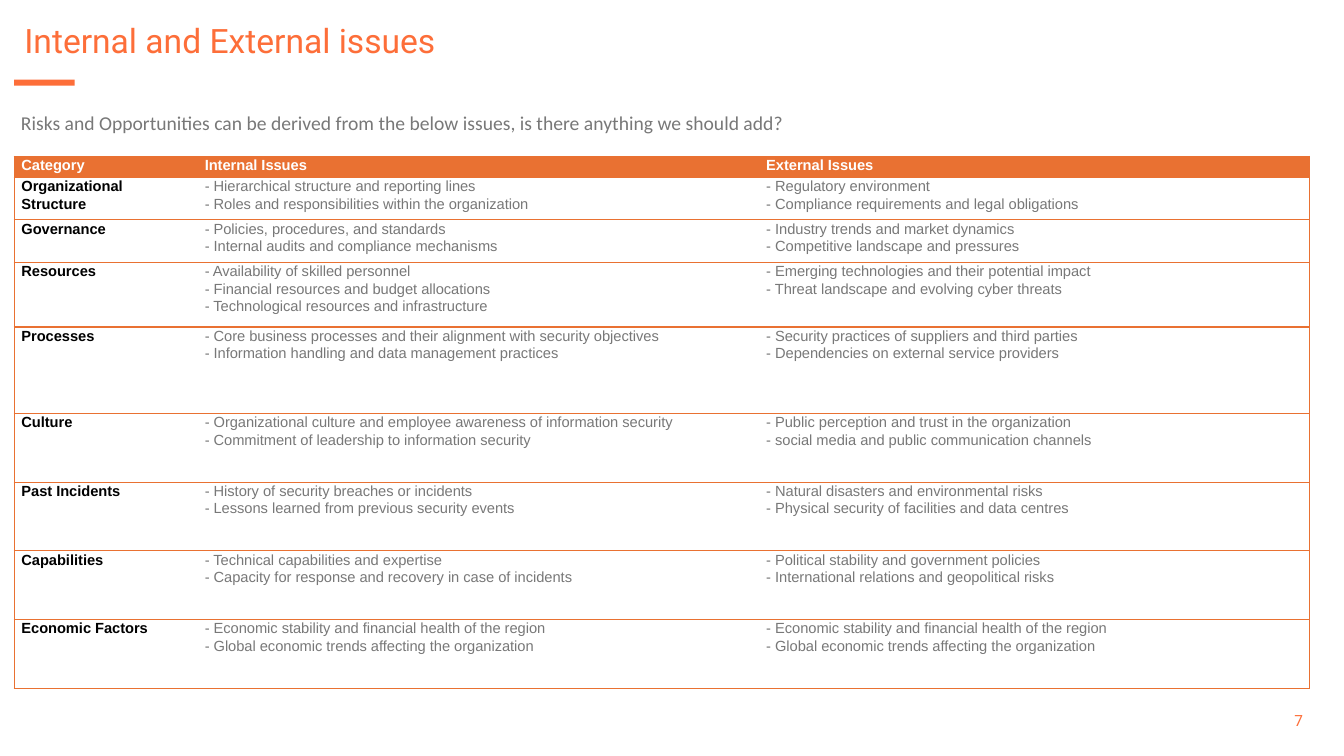
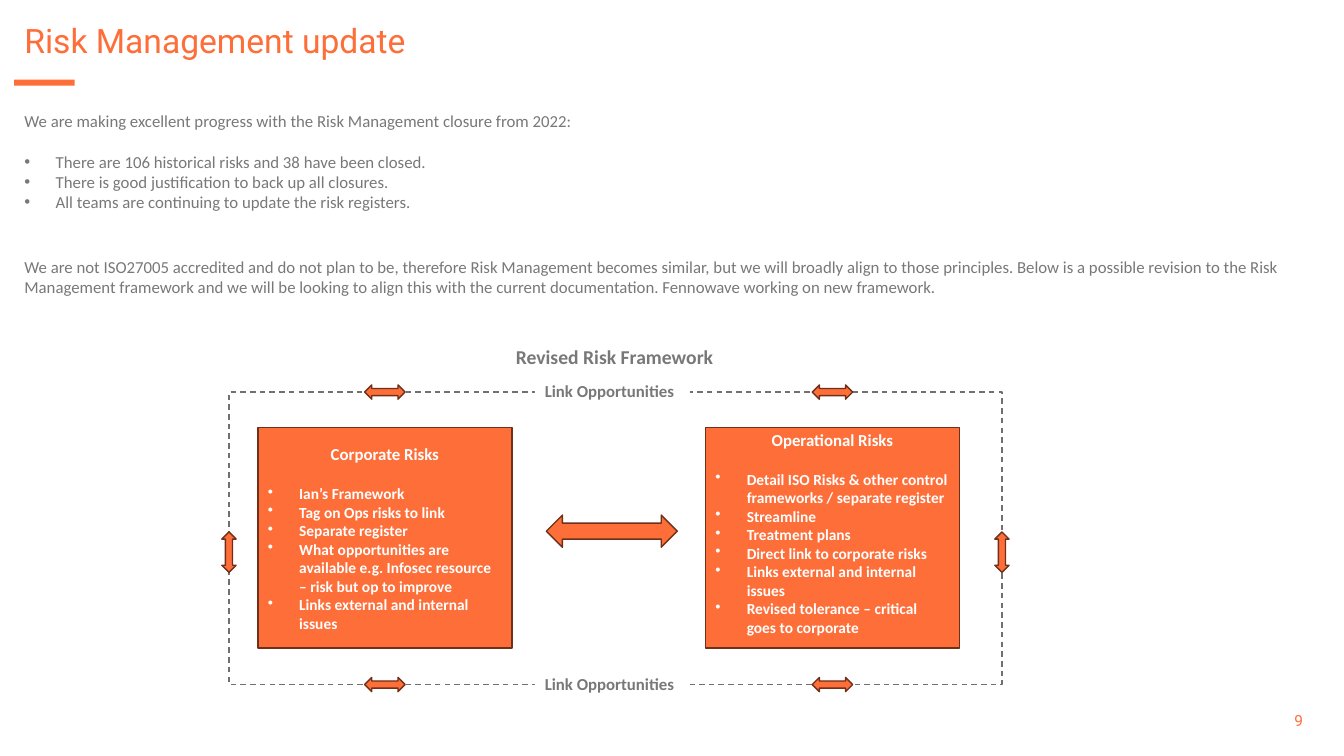
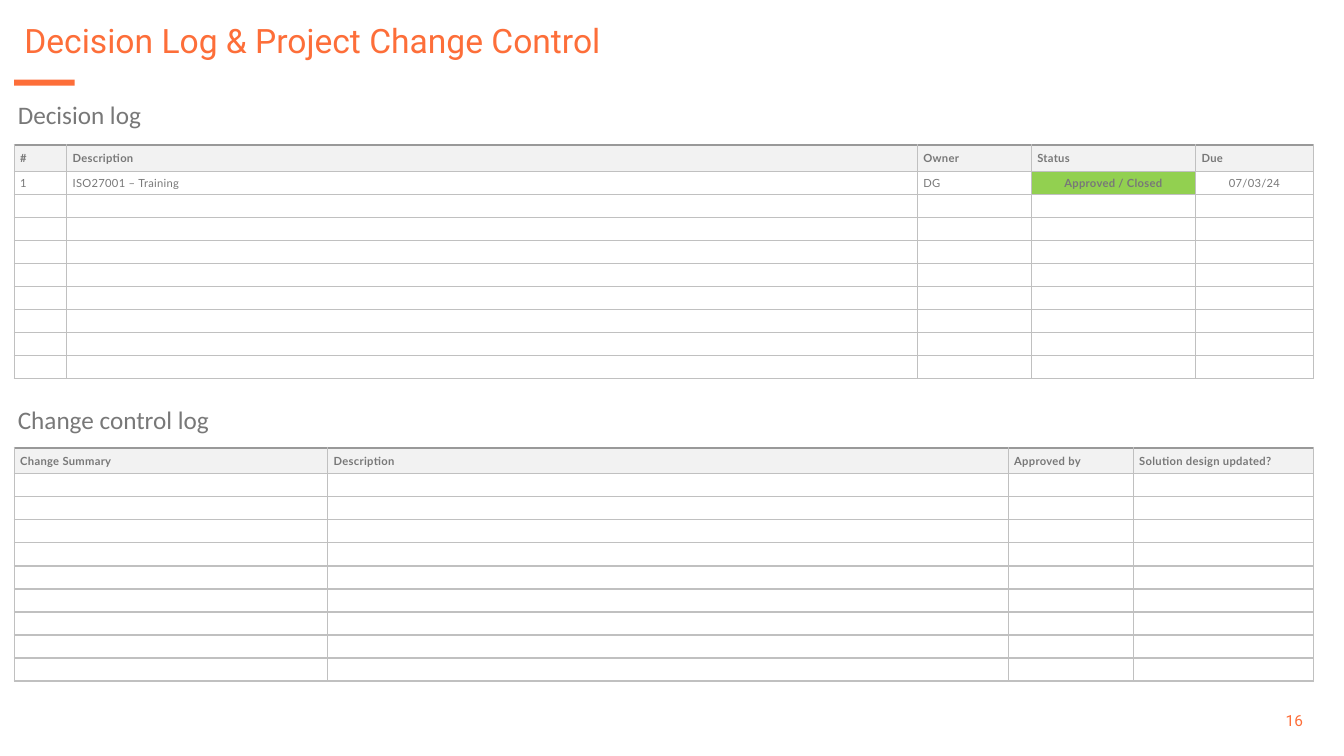
from lxml import etree
from pptx import Presentation
from pptx import util as u
from pptx.dml.color import RGBColor
from pptx.enum import dml, shapes, text
from pptx.oxml.ns import qn

# ---- Content ----
ISSUES = [
    ("Category", "Internal Issues", "External Issues"),
    ("Organizational Structure",
     "- Hierarchical structure and reporting lines\n- Roles and responsibilities within the organization",
     "- Regulatory environment\n- Compliance requirements and legal obligations"),
    ("Governance",
     "- Policies, procedures, and standards\n- Internal audits and compliance mechanisms",
     "- Industry trends and market dynamics\n- Competitive landscape and pressures"),
    ("Resources",
     "- Availability of skilled personnel\n- Financial resources and budget allocations\n"
     "- Technological resources and infrastructure",
     "- Emerging technologies and their potential impact\n- Threat landscape and evolving cyber threats"),
    ("Processes",
     "- Core business processes and their alignment with security objectives\n"
     "- Information handling and data management practices",
     "- Security practices of suppliers and third parties\n- Dependencies on external service providers"),
    ("Culture",
     "- Organizational culture and employee awareness of information security\n"
     "- Commitment of leadership to information security",
     "- Public perception and trust in the organization\n- social media and public communication channels"),
    ("Past Incidents",
     "- History of security breaches or incidents\n- Lessons learned from previous security events",
     "- Natural disasters and environmental risks\n- Physical security of facilities and data centres"),
    ("Capabilities",
     "- Technical capabilities and expertise\n- Capacity for response and recovery in case of incidents",
     "- Political stability and government policies\n- International relations and geopolitical risks"),
    ("Economic Factors",
     "- Economic stability and financial health of the region\n"
     "- Global economic trends affecting the organization",
     "- Economic stability and financial health of the region\n"
     "- Global economic trends affecting the organization"),
]
ISSUE_COLS = [4.62, 14.15, 13.87]
ISSUE_ROWS = [0.53, 1.07, 1.07, 1.63, 2.18] + [1.73] * 4

INTRO = "We are making excellent progress with the Risk Management closure from 2022:"
NEWS = ["There are 106 historical risks and 38 have been closed.",
        "There is good justification to back up all closures.",
        "All teams are continuing to update the risk registers."]
PLAN = ("We are not ISO27005 accredited and do not plan to be, therefore Risk Management becomes "
        "similar, but we will broadly align to those principles. Below is a possible revision to the "
        "Risk Management framework and we will be looking to align this with the current "
        "documentation. Fennowave working on new framework.")
# heading, left, top inset, points
RISKS = [
    ("Corporate Risks", 6.5, 0.41,
     ["Ian’s Framework", "Tag on Ops risks to link", "Separate register",
      "What opportunities are available e.g. Infosec resource – risk but op to improve",
      "Links external and internal issues"]),
    ("Operational Risks", 17.78, 0.05,
     ["Detail ISO Risks & other control frameworks / separate register", "Streamline",
      "Treatment plans", "Direct link to corporate risks", "Links external and internal issues",
      "Revised tolerance – critical goes to corporate"]),
]

# heading, top of heading, top of table, column widths, rows
LOGS = [
    ("Decision log", 2.39, 3.66, [1.32, 21.44, 2.87, 4.14, 2.97],
     [("#", "Description", "Owner", "Status", "Due"),
      ("1", "ISO27001 – Training", "DG", "Approved / Closed", "07/03/24")]),
    ("Change control log", 10.06, 11.28, [7.9, 17.15, 3.15, 4.54],
     [("Change Summary", "Description", "Approved by", "Solution design updated?")]),
]
LOG_ROWS = [0.66] + [0.58] * 9

# ---- Shared style ----
ORANGE, RUST, GREY, WHITE = "FD6E39", "6F3019", "787878", "FFFFFF"
RULE, SILVER = "E97132", "C0C0C0"
LEFT = 0.36
MID, RIGHT = text.PP_ALIGN.CENTER, text.PP_ALIGN.RIGHT
BOX, ARROW = shapes.MSO_SHAPE.RECTANGLE, shapes.MSO_SHAPE.LEFT_RIGHT_ARROW


def rgb(code):
    return RGBColor.from_string(code)


def cm(*nums):
    return [u.Cm(n) for n in nums]


def style(par, words, size=12, face="Calibri", color=GREY, bold=False, align=text.PP_ALIGN.LEFT,
          before=0, dot=False, lead=None):
    par.text = words
    font = par.font
    font.size, font.name, font.bold = u.Pt(size), face, bold
    font.color.rgb = rgb(color)
    par.alignment, par.space_before = align, u.Pt(before)
    if lead:
        par.line_spacing = lead
    props = par._p.get_or_add_pPr()
    hang = u.Cm(0.79) if dot else 0
    props.set("marL", str(hang))
    props.set("indent", str(-hang))
    mark = etree.Element(qn("a:buChar" if dot else "a:buNone"))
    if dot:
        mark.set("char", "•")
    props.find(qn("a:defRPr")).addprevious(mark)
    if not words:
        par._p.get_or_add_endParaRPr().set("sz", str(size * 100))


def write(frame, items):
    """Fill a frame with (words, style) paragraphs."""
    frame.word_wrap, frame.auto_size = True, text.MSO_AUTO_SIZE.NONE
    for i, (words, look) in enumerate(items):
        style(frame.add_paragraph() if i else frame.paragraphs[0], words, **look)


def label(slide, place, words, **look):
    box = slide.shapes.add_textbox(*cm(*place))
    write(box.text_frame, [(words, look)])
    return box


def block(slide, kind, place, fill, line=None):
    shape = slide.shapes.add_shape(kind, *cm(*place))
    shape.shadow.inherit = False
    shape.fill.solid()
    shape.fill.fore_color.rgb = rgb(fill)
    if line:
        shape.line.color.rgb, shape.line.width = rgb(line), u.Pt(1)
    else:
        shape.line.fill.background()
    return shape


def page(deck, layout, title, num):
    slide = deck.slides.add_slide(deck.slide_layouts[layout])
    head = slide.shapes.title
    head.left, head.top, head.width, head.height = cm(LEFT, 0.48, 29.62, 1.17)
    write(head.text_frame, [(title, dict(size=24, face="Roboto", color=ORANGE, lead=0.9))])
    head.text_frame.vertical_anchor = text.MSO_ANCHOR.TOP
    foot = label(slide, (30.96, 17.65, 2.13, 1.02), num, size=11, face="Roboto",
                 color=ORANGE, align=RIGHT)
    foot.text_frame.vertical_anchor = text.MSO_ANCHOR.MIDDLE
    return slide


# ---- Tables ----
def edges(cell, sides):
    """Draw the given sides as {side: (colour, points)}; hide the others."""
    props = cell._tc.get_or_add_tcPr()
    for i, side in enumerate("LRTB"):
        line = etree.Element(qn("a:ln" + side))
        if side in sides:
            color, width = sides[side]
            line.set("w", str(u.Pt(width)))
            fill = etree.SubElement(line, qn("a:solidFill"))
            etree.SubElement(fill, qn("a:srgbClr")).set("val", color)
        else:
            etree.SubElement(line, qn("a:noFill"))
        props.insert(i, line)


def grid(slide, top, cols, rows, pad):
    """Add a plain table and yield row, column and cell."""
    place = cm(LEFT, top, sum(cols), sum(rows))
    table = slide.shapes.add_table(len(rows), len(cols), *place).table
    table.first_row = table.horz_banding = False
    for col, width in zip(table.columns, cols):
        col.width = u.Cm(width)
    for row, tall in zip(table.rows, rows):
        row.height = u.Cm(tall)
    for r in range(len(rows)):
        for c in range(len(cols)):
            cell = table.cell(r, c)
            (cell.margin_left, cell.margin_top,
             cell.margin_right, cell.margin_bottom) = cm(*pad, *pad)
            yield r, c, cell


def paint(cell, color):
    cell.fill.solid()
    cell.fill.fore_color.rgb = rgb(color)


# ---- Slides ----
def issues(deck):
    slide = page(deck, 5, "Internal and External issues", "7")
    label(slide, (0.28, 2.67, 32.74, 0.86), "Risks and Opportunities can be derived from the "
          "below issues, is there anything we should add?", size=14)
    for r, c, cell in grid(slide, 3.94, ISSUE_COLS, ISSUE_ROWS, (0.18, 0)):
        color = WHITE if r == 0 else GREY if c else "000000"
        style(cell.text_frame.paragraphs[0], ISSUES[r][c], 10.5, "Arial", color,
              bold=r == 0 or c == 0, lead=1.07)
        paint(cell, WHITE if r else RULE)
        edges(cell, {side: (RULE, 1) for side in ("LTB", "TB", "RTB")[c]})


def risks(deck):
    slide = page(deck, 1, "Risk Management update", "9")
    body = slide.placeholders[1]
    body.left, body.top, body.width, body.height = cm(LEFT, 2.67, 33.1, 5.1)
    write(body.text_frame,
          [(INTRO, {})]
          + [(line, dict(dot=True, before=0 if i else 14.6)) for i, line in enumerate(NEWS)]
          + [(PLAN, dict(before=32))])

    # Dashed frame with its labels
    x, y, wide, tall = 5.77, 9.88, 19.48, 7.37
    frame = block(slide, BOX, (x, y, wide, tall), WHITE, "707070")
    frame.line.dash_style = dml.MSO_LINE.DASH
    label(slide, (12.75, 8.56, 11.63, 0.86), "Revised Risk Framework", size=14, bold=True)
    for edge in (y, y + tall):
        link = label(slide, (13.48, edge - 0.4, 3.91, 0.76), "Link Opportunities", bold=True)
        link.text_frame.margin_right = 0
        paint(link, WHITE)

    # Risk boxes
    side = 6.4
    for head, left, inset, points in RISKS:
        box = block(slide, BOX, (left, 10.77, side, 5.56), ORANGE, RUST)
        look = dict(color=WHITE, bold=True)
        write(box.text_frame,
              [(head, dict(look, align=MID))]
              + [(point, dict(look, size=11, dot=True, before=0 if i else 14.6))
                 for i, point in enumerate(points)])
        box.text_frame.vertical_anchor = text.MSO_ANCHOR.TOP
        box.text_frame.margin_top = u.Cm(inset)

    # Arrows: one between the boxes, the others centred on the frame
    block(slide, ARROW, (13.77, 12.98, 3.3, 0.81), ORANGE, RUST)
    spots = [(left + side / 2, edge, 0) for _, left, _, _ in RISKS for edge in (y, y + tall)]
    spots += [(edge, y + tall / 2 + 0.35, 90) for edge in (x, x + wide)]
    for across, down, turn in spots:
        arrow = block(slide, ARROW, (across - 0.51, down - 0.18, 1.02, 0.36), ORANGE, RUST)
        arrow.rotation = turn


def logs(deck):
    slide = page(deck, 5, "Decision Log & Project Change Control", "16")
    for head, high, top, cols, rows in LOGS:
        label(slide, (0.2, high, 17.55, 1.02), head, size=18)
        for r, c, cell in grid(slide, top, cols, LOG_ROWS, (0.15, 0.03)):
            words = rows[r][c] if r < len(rows) else ""
            done = words == "Approved / Closed"
            par = cell.text_frame.paragraphs[0]
            style(par, words, 8, "Lato", bold=r == 0 or done,
                  align=MID if r and c > 2 else text.PP_ALIGN.LEFT)
            par.font._rPr.set("spc", "20")
            cell.vertical_anchor = text.MSO_ANCHOR.MIDDLE
            paint(cell, "92D050" if done else WHITE if r else "F2F2F2")
            sides = {side: (SILVER, 1) for side in "LRTB"}
            if r == 0:
                sides["T"] = ("999999", 1.5)
            edges(cell, sides)


def main():
    deck = Presentation()
    deck.slide_width, deck.slide_height = cm(33.87, 19.05)
    for build in (issues, risks, logs):
        build(deck)
    # Accent bar, held by the master
    bar = block(deck.slides[0], BOX, (LEFT, 2.01, 1.52, 0.15), ORANGE)
    deck.slide_master.shapes._spTree.append(bar._element)
    deck.save("out.pptx")


if __name__ == "__main__":
    main()
